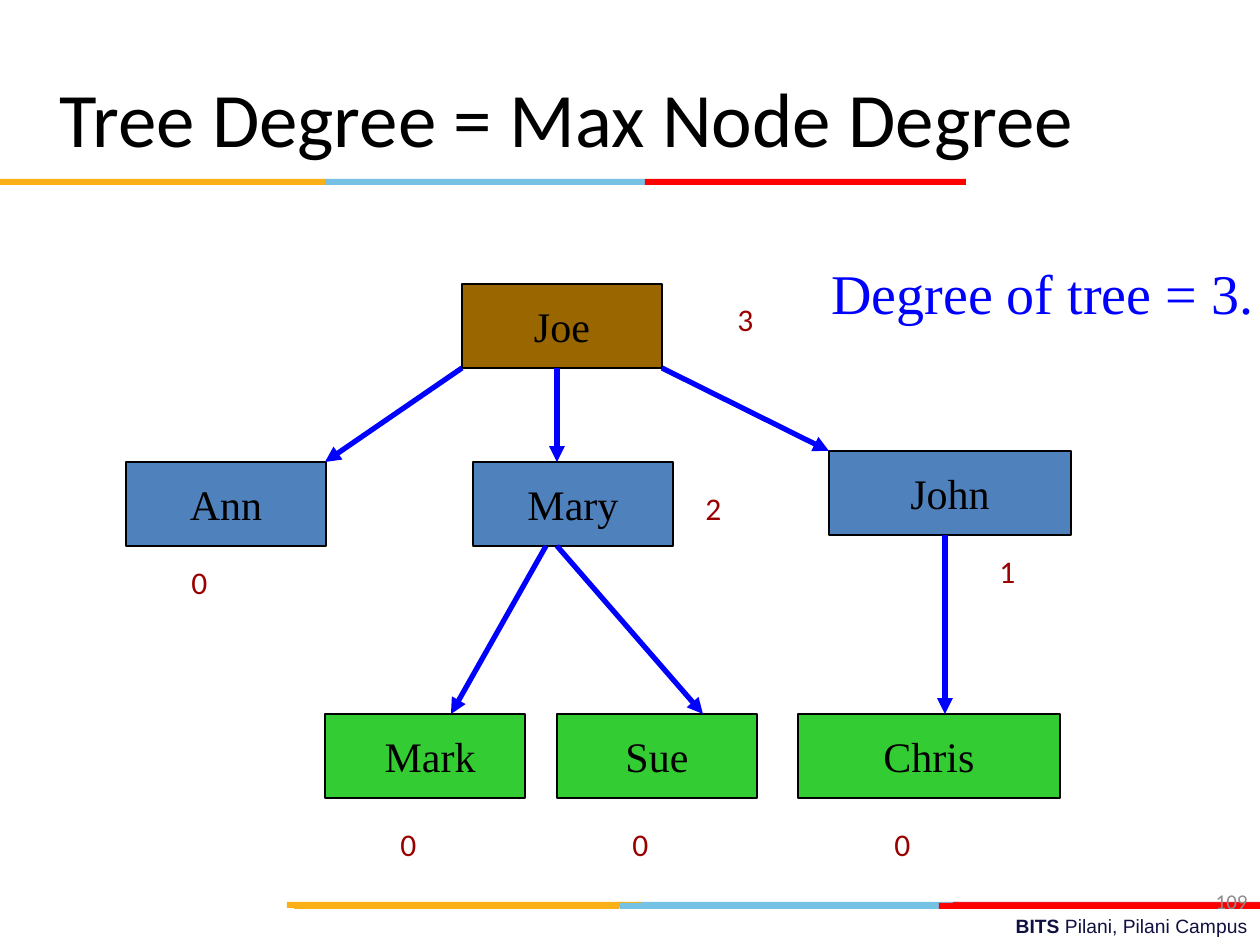
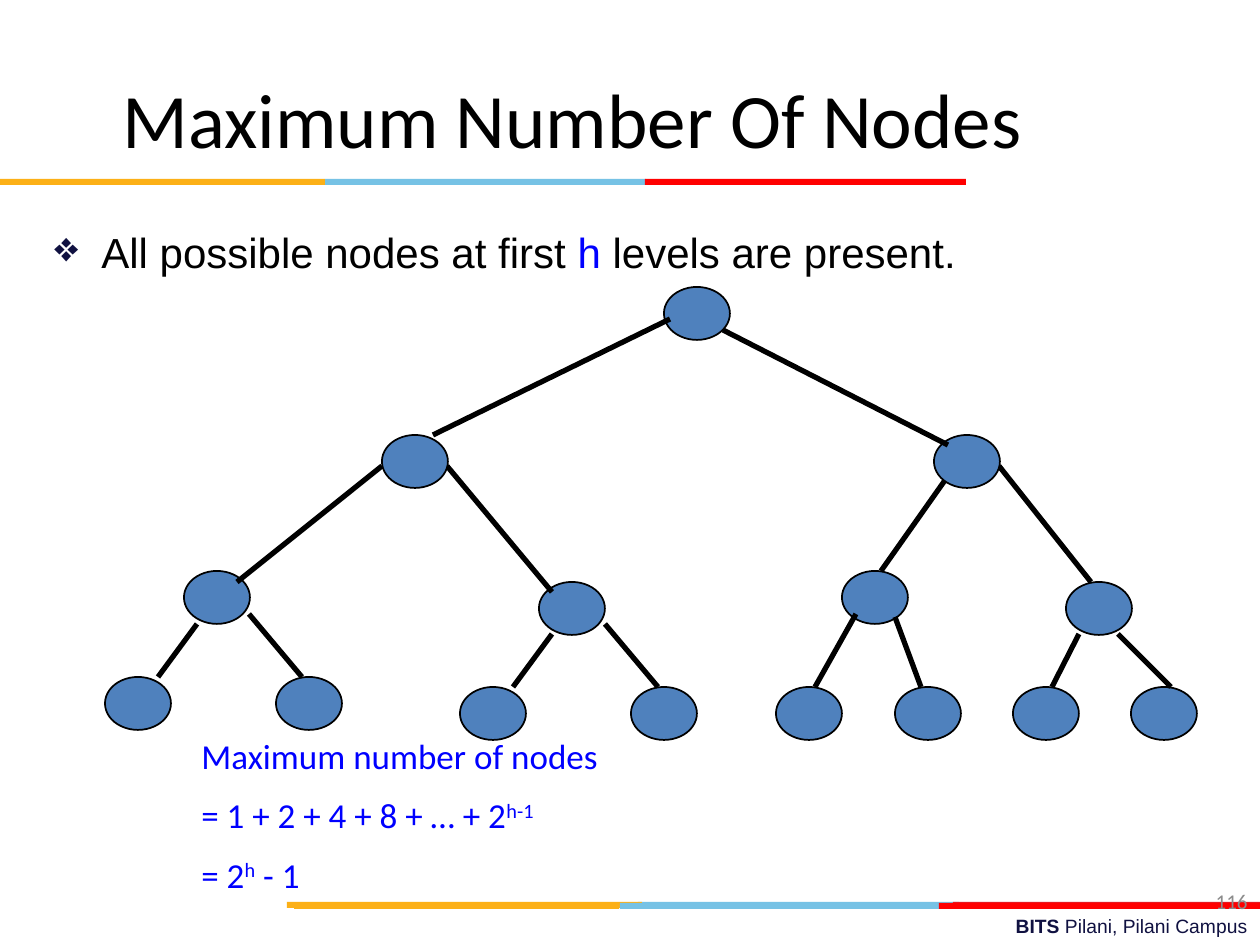
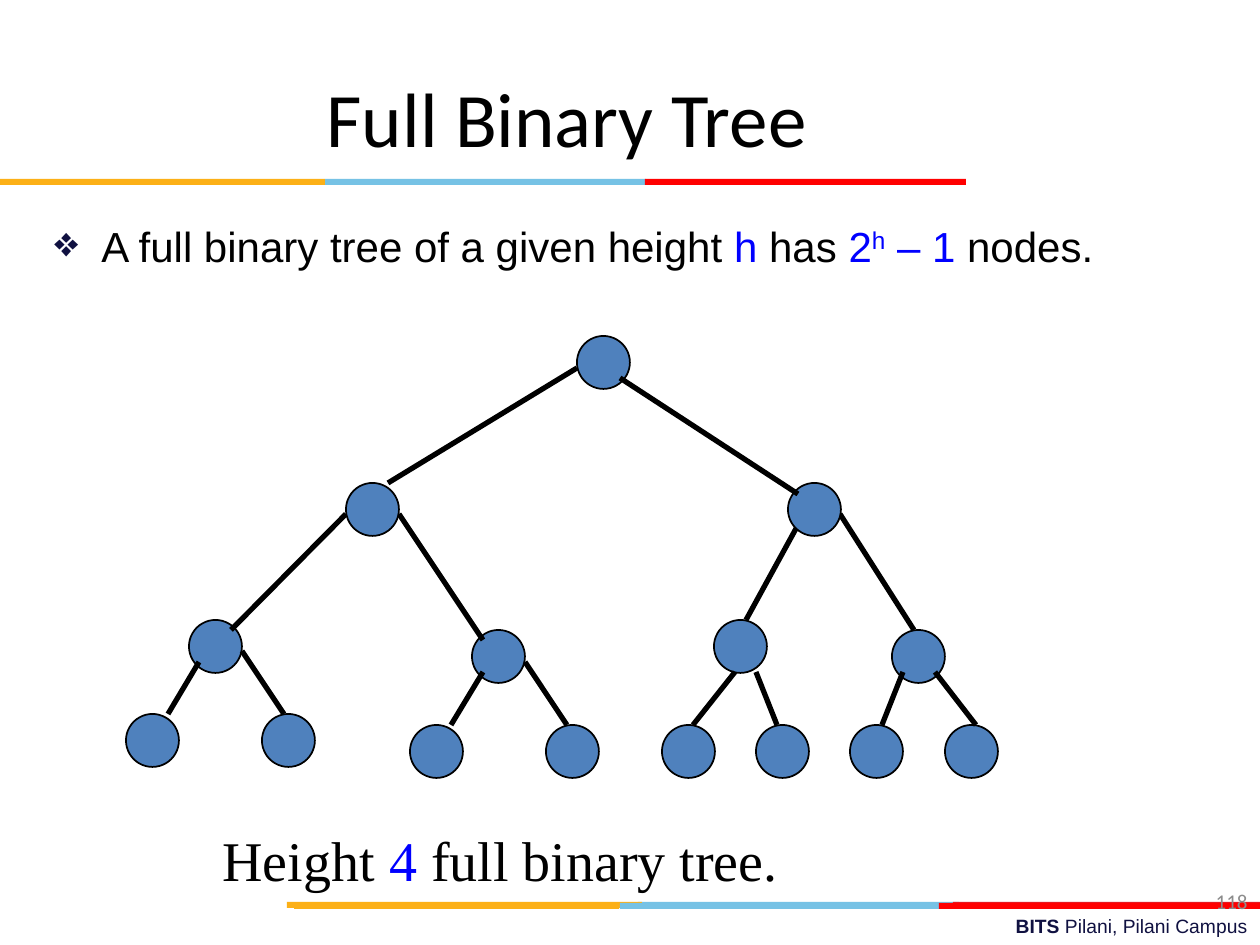
from lxml.etree import SubElement
from pptx import Presentation
from pptx.dml.color import RGBColor
from pptx.enum.shapes import MSO_CONNECTOR, MSO_SHAPE as Kind
from pptx.enum.text import MSO_ANCHOR as Anchor, PP_ALIGN as Align
from pptx.oxml.ns import qn
from pptx.util import Pt

PX = 7257
BLACK, BLUE, NAVY, GREY, MAROON = "000000", "0000FF", "101141", "8C8C8C", "990000"
AMBER, SKY, RED, CRIMSON = "FCB017", "76C2E5", "FF0000", "E31C24"
BROWN, STEEL, GREEN = "996600", "4F81BD", "33CC33"
SANS, BODY, SERIF = "Calibri", "Arial", "Times New Roman"
color = RGBColor.from_string


def add_block(page, kind, box, fill):
    block = page.shapes.add_shape(kind, *[value * PX for value in box])
    block.shadow.inherit = False
    block.fill.solid()
    block.fill.fore_color.rgb = color(fill)
    block.line.fill.background()
    return block


def write(page, box, rows, font, size, ink, align=Align.LEFT, anchor=Anchor.TOP, bullet=None):
    holder = page.shapes.add_textbox(*[value * PX for value in box]) if isinstance(box, tuple) else box
    frame = holder.text_frame
    frame.word_wrap = True
    frame.vertical_anchor = anchor
    for index, row in enumerate(rows):
        para = frame.add_paragraph() if index else frame.paragraphs[0]
        para.alignment = align
        if index:
            para.space_before = Pt(10)
        if bullet:
            props = para._p.get_or_add_pPr()
            props.set("marL", str(47 * PX))
            props.set("indent", str(-47 * PX))
            SubElement(SubElement(props, qn("a:buClr")), qn("a:srgbClr")).set("val", NAVY)
            SubElement(props, qn("a:buChar")).set("char", bullet)
        para.font.name = font
        para.font.size = Pt(size)
        para.font.color.rgb = color(ink)
        for text, style in row:
            span = para.add_run()
            span.text = text
            if "blue" in style:
                span.font.color.rgb = color(BLUE)
            if "bold" in style:
                span.font.bold = True
            if "super" in style:
                span._r.get_or_add_rPr().set("baseline", "30000")
    return frame


deck = Presentation()
deck.slide_width = 1260 * PX
deck.slide_height = 945 * PX

bands = [
    (638, 902, 321, SKY), (953, 902, 307, CRIMSON), (287, 902, 355, AMBER),
    (620, 903, 321, SKY), (294, 903, 325, AMBER), (939, 903, 321, RED),
    (325, 179, 321, SKY), (0, 179, 325, AMBER), (645, 179, 321, RED),
]
headings = [
    ("Tree Degree = Max Node Degree", (0, 38, 1134, 157), "109"),
    ("Maximum Number Of Nodes", (37, 60, 1071, 116), "116"),
    ("Full Binary Tree", (0, 38, 1134, 157), "118"),
]
for title, title_box, number in headings:
    page = deck.slides.add_slide(deck.slide_layouts[6])
    write(page, (451, 908, 809, 37), [[("BITS ", "bold"), ("Pilani, Pilani Campus", "")]],
          BODY, 11, NAVY, Align.RIGHT)
    for left, top, width, fill in bands:
        add_block(page, Kind.RECTANGLE, (left, top, width, 6), fill)
    write(page, title_box, [[(title, "")]], SANS, 44, BLACK, Align.CENTER, Anchor.MIDDLE)
    write(page, (966, 876, 294, 50), [[(number, "")]], SANS, 12, GREY, Align.RIGHT, Anchor.MIDDLE)
degree_page, maximum_page, full_page = deck.slides

family = [
    ("Joe", 462, 284, 200, 84, BROWN),
    ("Ann", 126, 462, 200, 84, STEEL),
    ("Mary", 473, 462, 200, 84, STEEL),
    ("John", 829, 451, 242, 84, STEEL),
    (" Mark", 325, 714, 200, 84, GREEN),
    ("Sue", 557, 714, 200, 84, GREEN),
    ("Chris", 798, 714, 262, 84, GREEN),
]
family_links = [
    (557, 368, 557, 462), (462, 368, 325, 462), (662, 368, 829, 451),
    (557, 546, 703, 714), (945, 535, 945, 714), (546, 546, 451, 714),
]
maximum_inner = [(184, 571), (539, 582), (842, 571), (1066, 582)]
maximum_inner_links = [
    (948, 476, 881, 571), (999, 466, 1091, 582),
    (382, 466, 237, 582), (447, 466, 552, 592),
]
maximum_outer = [
    (934, 435), (382, 435), (664, 287), (105, 677), (276, 677), (460, 687),
    (631, 687), (776, 687), (895, 687), (1013, 687), (1131, 687),
]
maximum_outer_links = [
    (670, 319, 433, 435), (723, 330, 948, 445),
    (197, 624, 158, 677), (249, 614, 302, 677),
    (552, 634, 513, 687), (605, 624, 658, 687),
    (856, 614, 815, 687), (895, 617, 921, 687),
    (1079, 634, 1052, 687), (1118, 634, 1171, 687),
]
full_inner = [(189, 620), (472, 630), (714, 620), (892, 630)]
full_inner_links = [
    (798, 525, 746, 620), (840, 514, 914, 630),
    (346, 514, 231, 630), (399, 514, 483, 640),
]
full_outer = [
    (577, 336), (788, 483), (346, 483), (126, 714), (262, 714), (410, 725),
    (546, 725), (662, 725), (756, 725), (850, 725), (945, 725),
]
full_outer_links = [
    (577, 368, 388, 483), (620, 378, 798, 494),
    (199, 662, 168, 714), (242, 651, 284, 714),
    (483, 672, 451, 725), (525, 662, 567, 725),
    (735, 672, 693, 725), (756, 672, 777, 725),
    (903, 672, 882, 725), (935, 672, 976, 725),
]

layers = [(degree_page, Kind.RECTANGLE, family, family_links)]
for page, width, spots, links in [
    (maximum_page, 66, maximum_inner, maximum_inner_links),
    (maximum_page, 66, maximum_outer, maximum_outer_links),
    (full_page, 53, full_inner, full_inner_links),
    (full_page, 53, full_outer, full_outer_links),
]:
    nodes = [("", left, top, width, 53, STEEL) for left, top in spots]
    layers.append((page, Kind.OVAL, nodes, links))

for page, kind, nodes, links in layers:
    named = kind == Kind.RECTANGLE
    for name, *box, fill in nodes:
        node = add_block(page, kind, box, fill)
        node.line.color.rgb = color(BLACK)
        node.line.width = Pt(1)
        if named:
            write(page, node, [[(name, "")]], SERIF, 24, BLACK, Align.CENTER, Anchor.MIDDLE)
    for ends in links:
        link = page.shapes.add_connector(MSO_CONNECTOR.STRAIGHT, *[value * PX for value in ends])
        link.line.color.rgb = color(BLUE if named else BLACK)
        link.line.width = Pt(3)
        if named:
            SubElement(link.line._get_or_add_ln(), qn("a:tailEnd")).set("type", "triangle")
        SubElement(link._element.spPr, qn("a:effectLst"))

degrees = [
    ("3", 725, 294), ("1", 987, 546), ("2", 693, 483), ("0", 179, 557),
    ("0", 388, 819), ("0", 620, 819), ("0", 882, 819),
]
for degree, left, top in degrees:
    write(degree_page, (left, top, 84, 50), [[(degree, "")]], SANS, 18, MAROON)
write(degree_page, (819, 252, 494, 79), [[("Degree of tree = 3.", "")]], SERIF, 32, BLUE)

body_box = (42, 220, 1134, 624)
write(maximum_page, body_box,
      [[("All possible nodes at first ", ""), ("h", "blue"), (" levels are present.", "")]],
      BODY, 24, BLACK, bullet="❖")
write(maximum_page, (189, 728, 945, 183),
      [[("Maximum number of nodes", "")],
       [("= 1 + 2 + 4 + 8 + … + 2", ""), ("h-1", "super")],
       [("= 2", ""), ("h", "super"), (" - 1", "")]],
      SANS, 20, BLUE)

statement = write(full_page, body_box,
                  [[("A full binary tree of a given height ", ""), ("h", "blue"), (" has ", ""),
                    ("2", "blue"), ("h", "blue super"), (" – 1 ", "blue"), ("nodes.", "")]],
                  BODY, 24, BLACK, bullet="❖")
statement.paragraphs[0].line_spacing = 0.9
write(full_page, (210, 819, 903, 79),
      [[("Height ", ""), ("4", "blue"), (" full binary tree.", "")]], SERIF, 32, BLACK)

deck.save("out.pptx")
